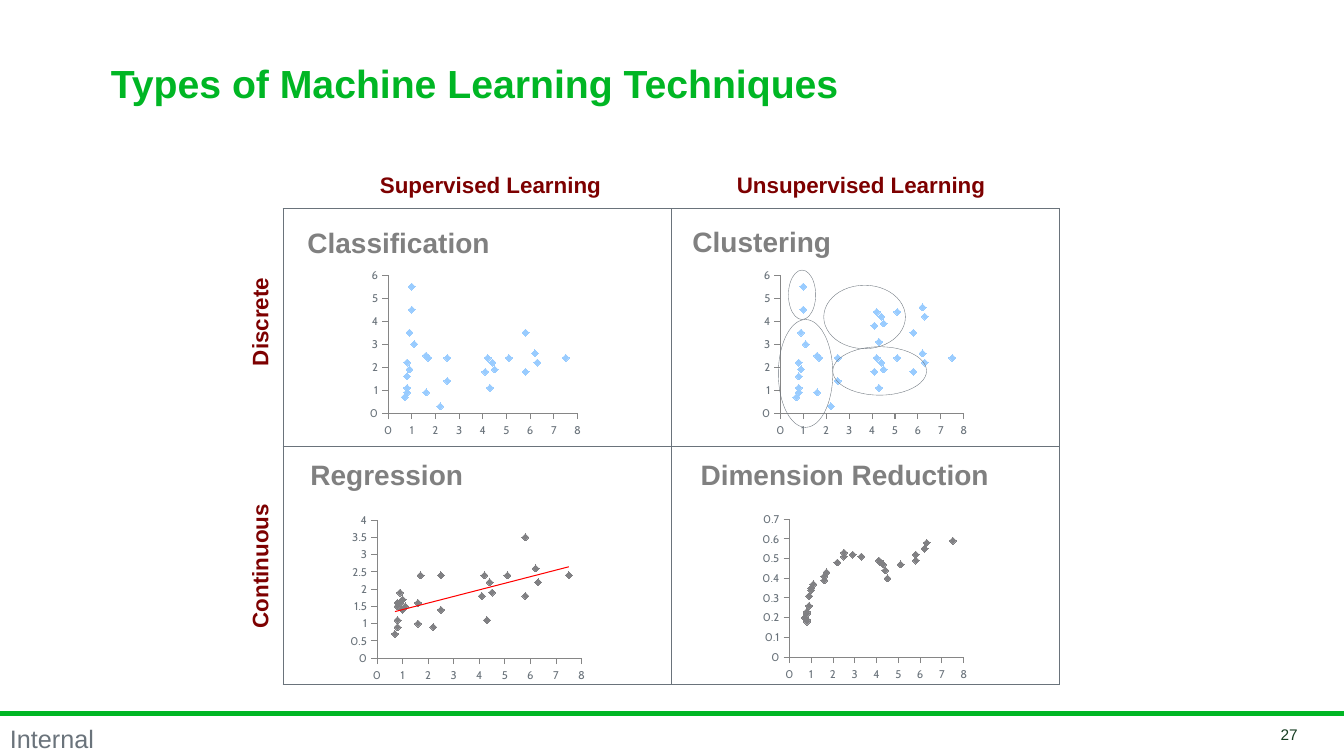
from dataclasses import dataclass
from lxml import etree
from pptx import Presentation
from pptx import util as u
from pptx.chart.data import XyChartData
from pptx.dml.color import RGBColor
from pptx.enum import chart as ch, shapes, text
from pptx.oxml import parse_xml
from pptx.oxml.ns import qn


@dataclass(frozen=True)
class Theme:
    green: str = "00B624"
    slate: str = "6A737B"
    maroon: str = "7D0000"
    grey: str = "808080"
    number: str = "163D22"
    axis: str = "868686"
    blue: str = "99CCFF"
    point: str = "808083"
    trend: str = "FF0000"
    font: str = "Arial"
    axis_font: str = "Cabin"
    title: int = 28
    heading: int = 20
    footer: int = 18
    label: int = 16
    page: int = 11
    tick: int = 8


T = Theme()
PX = 9144
NS = ('xmlns:a="http://schemas.openxmlformats.org/drawingml/2006/main" '
      'xmlns:c="http://schemas.openxmlformats.org/drawingml/2006/chart"')


def px(*values):
    return [v * PX for v in values]


def write(sp, words, size, color, bold=True, wrap=False, align=None,
          anchor=text.MSO_ANCHOR.TOP, spacing=None):
    tf = sp.text_frame
    tf.word_wrap = wrap
    tf.auto_size = text.MSO_AUTO_SIZE.NONE
    tf.vertical_anchor = anchor
    p = tf.paragraphs[0]
    p.alignment = align
    p.line_spacing = spacing
    r = p.add_run()
    r.text = words
    r.font.name = T.font
    r.font.size = u.Pt(size)
    r.font.bold = bold
    r.font.color.rgb = RGBColor.from_string(color)


prs = Presentation()
prs.slide_width, prs.slide_height = px(1333, 750)
s = prs.slides.add_slide(prs.slide_layouts[5])

title = s.shapes.title
title.left, title.top, title.width, title.height = px(100, 42, 989, 88)
write(title, "Types of Machine Learning Techniques", T.title, T.green, wrap=True,
      align=text.PP_ALIGN.LEFT, anchor=text.MSO_ANCHOR.MIDDLE, spacing=0.85)

rule = s.shapes.add_connector(shapes.MSO_CONNECTOR.STRAIGHT, *px(0, 708, 1333, 708))
rule.line.color.rgb = RGBColor.from_string(T.green)
rule.line.width = u.Pt(3.5)
etree.SubElement(rule._element.spPr, qn("a:effectLst"))

write(s.shapes.add_textbox(*px(0, 715, 104, 39)), "Internal", T.footer, T.slate,
      bold=False, spacing=0.95)
write(s.shapes.add_textbox(*px(1196, 719, 101, 20)), "27", T.page, T.number,
      bold=False, align=text.PP_ALIGN.RIGHT, anchor=text.MSO_ANCHOR.MIDDLE)

table = s.shapes.add_table(2, 2, *px(281, 207, 770, 472)).table
table.first_row = table.horz_banding = False
for cell in table.iter_cells():
    tcPr = cell._tc.get_or_add_tcPr()
    for side in ("lnL", "lnR", "lnT", "lnB"):
        tcPr.append(parse_xml(
            f'<a:{side} {NS} w="12700"><a:solidFill><a:srgbClr val="{T.slate}"/>'
            f'</a:solidFill></a:{side}>'))
    cell.fill.background()

for words, box, rotation in (
        ("Supervised Learning", (367, 165, 242, 37), 0),
        ("Unsupervised Learning", (721, 165, 269, 37), 0),
        ("Continuous", (185, 542, 145, 37), 270),
        ("Discrete", (203, 300, 109, 37), 270)):
    sp = s.shapes.add_textbox(*px(*box))
    sp.rotation = rotation
    write(sp, words, T.label, T.maroon)

for words, box in (
        ("Classification", (295, 219, 248, 44)),
        ("Clustering", (677, 218, 224, 44)),
        ("Dimension Reduction", (685, 449, 324, 44)),
        ("Regression", (298, 449, 288, 44))):
    write(s.shapes.add_textbox(*px(*box)), words, T.heading, T.grey, wrap=True)

class_x = [0.7, 0.8, 0.8, 0.8, 0.9, 1, 1.1, 1, 2.2, 2.5, 5.8, 7.5, 2.5, 5.8, 0.8,
           0.9, 1.6, 1.7, 1.6, 4.1, 4.2, 4.3, 4.4, 4.5, 5.1, 6.2, 6.3]
class_y = [0.7, 0.9, 1.1, 2.2, 3.5, 4.5, 3, 5.5, 0.3, 1.4, 1.8, 2.4, 2.4, 3.5, 1.6,
           1.9, 2.5, 2.4, 0.9, 1.8, 2.4, 1.1, 2.2, 1.9, 2.4, 2.6, 2.2]
cluster_x = class_x + class_x[-8:]
cluster_y = class_y + [3.8, 4.4, 3.1, 4.2, 3.9, 4.4, 4.6, 4.2]
regress_x = [0.7, 0.8, 0.8, 0.8, 0.8, 0.9, 0.9, 1, 1, 1.1, 1.6, 1.6, 1.7, 2.2, 2.5,
             2.5, 4.1, 4.2, 4.3, 4.4, 4.5, 5.1, 5.8, 5.8, 6.2, 6.3, 7.5]
regress_y = [0.7, 0.9, 1.1, 1.6, 1.5, 1.9, 1.6, 1.7, 1.4, 1.5, 1, 1.6, 2.4, 0.9, 1.4,
             2.4, 1.8, 2.4, 1.1, 2.2, 1.9, 2.4, 1.8, 3.5, 2.6, 2.2, 2.4]
reduce_x = regress_x[:16] + [2.9, 3.3] + regress_x[16:]
reduce_y = [0.2, 0.18, 0.19, 0.22, 0.23, 0.26, 0.31, 0.34, 0.35, 0.37, 0.39, 0.41,
            0.43, 0.48, 0.51, 0.53, 0.52, 0.51, 0.49, 0.48, 0.47, 0.44, 0.4, 0.47,
            0.49, 0.52, 0.55, 0.58, 0.59]

for xs, ys, box, plot, top, step, color, trend in (
        (regress_x, regress_y, (343, 505, 243, 175), (374, 516, 203, 137), 4, 0.5, T.point, True),
        (reduce_x, reduce_y, (752, 504, 212, 175), (783, 515, 173, 137), 0.7, 0.1, T.point, False),
        (class_x, class_y, (363, 262, 218, 175), (385, 273, 188, 137), 6, 1, T.blue, False),
        (cluster_x, cluster_y, (752, 262, 212, 175), (774, 273, 182, 137), 6, 1, T.blue, False)):
    data = XyChartData()
    points = data.add_series("Series 1")
    for x, y in zip(xs, ys):
        points.add_data_point(x, y)
    chart = s.shapes.add_chart(ch.XL_CHART_TYPE.XY_SCATTER, *px(*box), data).chart
    chart.has_legend = chart.has_title = False
    chart.font.name = T.font
    chart.font.size = u.Pt(T.footer)
    chart.font.color.rgb = RGBColor.from_string(T.slate)
    chart.plots[0].vary_by_categories = False

    for axis, limit, unit in ((chart.category_axis, 8, 1), (chart.value_axis, top, step)):
        axis.minimum_scale, axis.maximum_scale, axis.major_unit = 0, limit, unit
        axis.has_major_gridlines = False
        axis.major_tick_mark = ch.XL_TICK_MARK.OUTSIDE
        axis.minor_tick_mark = ch.XL_TICK_MARK.NONE
        axis.format.line.color.rgb = RGBColor.from_string(T.axis)
        axis.format.line.width = u.Pt(0.75)
        labels = axis.tick_labels
        labels.number_format, labels.number_format_is_linked = "General", False
        labels.font.name = T.axis_font
        labels.font.size = u.Pt(T.tick)
        labels.font.color.rgb = RGBColor.from_string(T.slate)

    series = chart.plots[0].series[0]
    series.smooth = False
    series.format.line.fill.background()
    series.marker.style = ch.XL_MARKER_STYLE.DIAMOND
    series.marker.size = 5
    series.marker.format.fill.solid()
    series.marker.format.fill.fore_color.rgb = RGBColor.from_string(color)
    series.marker.format.line.color.rgb = RGBColor.from_string(color)
    if trend:
        series._element.find(qn("c:xVal")).addprevious(parse_xml(
            f'<c:trendline {NS}><c:spPr><a:ln w="9525"><a:solidFill>'
            f'<a:srgbClr val="{T.trend}"/></a:solidFill></a:ln></c:spPr>'
            '<c:trendlineType val="linear"/><c:dispRSqr val="0"/><c:dispEq val="0"/>'
            '</c:trendline>'))

    area = chart._chartSpace.find(".//" + qn("c:plotArea"))
    for layout in area.findall(qn("c:layout")):
        area.remove(layout)
    left, upper, width, height = box
    area.insert(0, parse_xml(
        f'<c:layout {NS}><c:manualLayout><c:layoutTarget val="inner"/>'
        '<c:xMode val="edge"/><c:yMode val="edge"/>'
        f'<c:x val="{(plot[0] - left) / width:.4f}"/>'
        f'<c:y val="{(plot[1] - upper) / height:.4f}"/>'
        f'<c:w val="{plot[2] / width:.4f}"/><c:h val="{plot[3] / height:.4f}"/>'
        '</c:manualLayout></c:layout>'))

for box in ((817, 283, 81, 63), (826, 344, 93, 48), (772, 317, 54, 107), (782, 268, 27, 49)):
    sp = s.shapes.add_shape(shapes.MSO_SHAPE.OVAL, *px(*box))
    sp.shadow.inherit = False
    sp.fill.background()
    sp.line.color.rgb = RGBColor.from_string(T.slate)
    sp.line.width = u.Pt(0.25)

prs.save("out.pptx")
